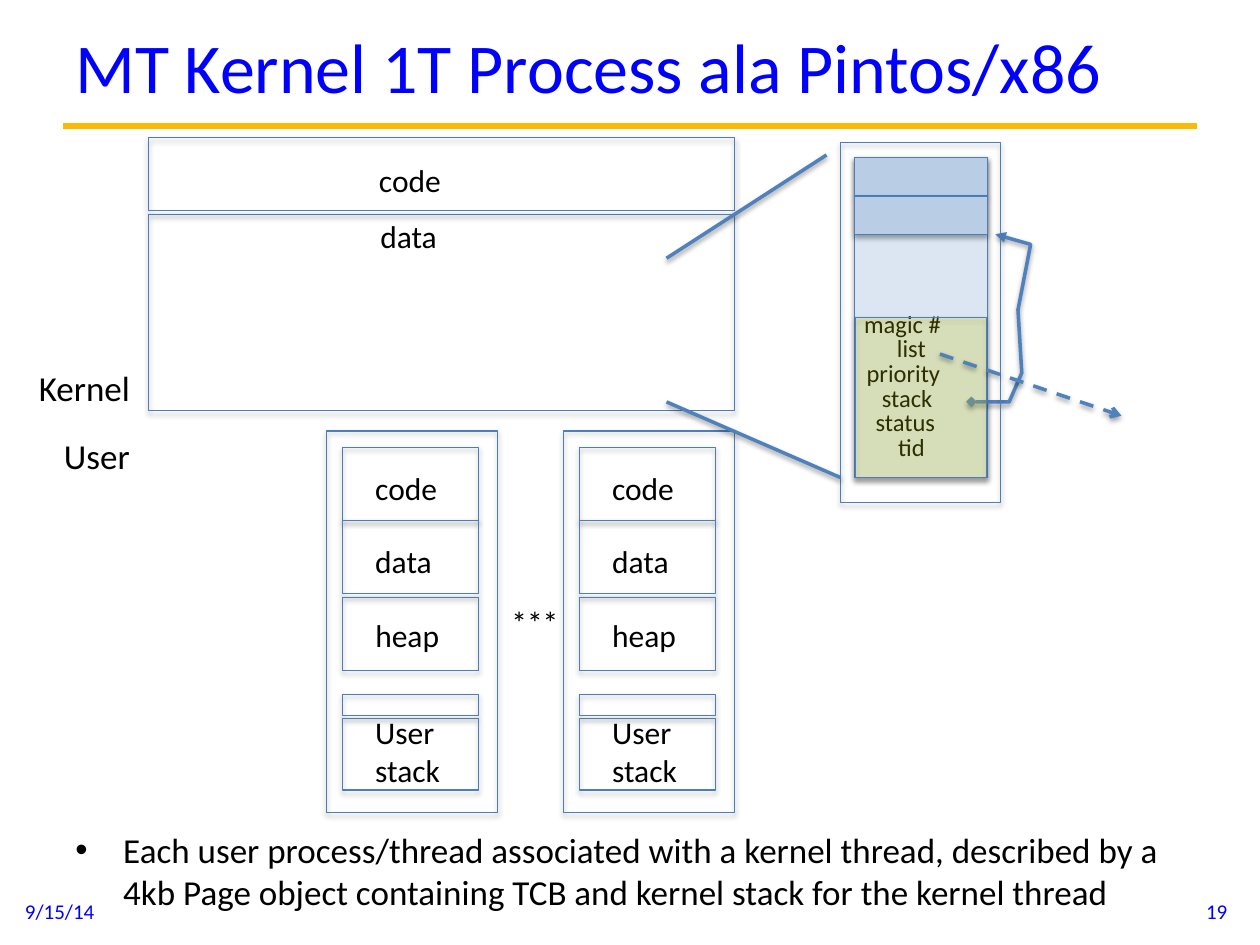
from dataclasses import dataclass
from typing import Any, Optional

from lxml.etree import SubElement
from pptx import Presentation
from pptx.dml.color import RGBColor
from pptx.enum.dml import MSO_LINE
from pptx.enum.shapes import MSO_CONNECTOR, MSO_SHAPE
from pptx.enum.text import MSO_ANCHOR, MSO_AUTO_SIZE, PP_ALIGN
from pptx.oxml.ns import qn
from pptx.util import Inches, Pt


@dataclass(frozen=True)
class Theme:
    font: str = "Calibri"
    blue: str = "0000FF"
    black: str = "000000"
    gold: str = "FBBA03"
    edge: str = "4B7EBC"
    link: str = "4F81BD"
    page: str = "DCE6F2"
    stack: str = "B9CDE5"
    block: str = "FFFF00"
    title: int = 40
    body: int = 20
    label: int = 18
    field: int = 14
    foot: int = 12


@dataclass(frozen=True)
class Box:
    left: float
    top: float
    width: float
    height: float
    fill: Optional[str] = None
    alpha: Optional[int] = None


@dataclass(frozen=True)
class Label:
    text: str
    left: float
    top: float
    width: float
    height: float = 0.4
    size: int = 18
    color: str = "000000"


@dataclass(frozen=True)
class Link:
    start: tuple[float, float]
    end: tuple[float, float]
    color: str
    weight: float = 2
    dash: bool = False


THEME = Theme()
FIELDS = [("magic #", 6.76, 1.1), ("list", 7.02, 0.58), ("priority", 6.78, 1.06),
          ("stack", 6.9, 0.82), ("status", 6.85, 0.92), ("tid", 7.03, 0.56)]
TRACK = [(7.71, 3.19), (8.01, 3.19), (8.11, 2.96), (8.08, 2.46), (8.18, 1.94), (7.9, 1.86)]


def add_glow(shape: Any, alpha: int = 0, dist: float = 0) -> None:
    """Set the drop shadow of a shape, or clear it when alpha is zero."""
    effects = SubElement(shape.element.spPr, qn("a:effectLst"))
    if alpha:
        outer = SubElement(effects, qn("a:outerShdw"), blurRad=str(Pt(3.1)),
                           dist=str(Pt(dist)), dir="5400000", rotWithShape="0")
        color = SubElement(outer, qn("a:srgbClr"), val=THEME.black)
        SubElement(color, qn("a:alpha"), val=str(alpha * 1000))


def add_ends(shape: Any, **ends: str) -> None:
    """Put arrowheads on the named ends of a line."""
    line = shape.element.spPr.find(qn("a:ln"))
    for name, kind in ends.items():
        SubElement(line, qn(f"a:{name}"), type=kind)


def set_line(shape: Any, color: str, weight: float) -> None:
    """Set the colour and weight of an outline."""
    shape.line.color.rgb = RGBColor.from_string(color)
    shape.line.width = Pt(weight)


def draw_box(slide: Any, box: Box) -> None:
    """Draw one outlined box with its shadow."""
    shape = slide.shapes.add_shape(MSO_SHAPE.RECTANGLE, Inches(box.left), Inches(box.top),
                                   Inches(box.width), Inches(box.height))
    if box.fill:
        shape.fill.solid()
        shape.fill.fore_color.rgb = RGBColor.from_string(box.fill)
        if box.alpha:
            color = shape.element.spPr.find(qn("a:solidFill"))[0]
            SubElement(color, qn("a:alpha"), val=str(box.alpha * 1000))
    else:
        shape.fill.background()
    set_line(shape, THEME.edge, 0.75)
    add_glow(shape, 35, 1.8)


def draw_text(slide: Any, label: Label, wrap: bool = False) -> Any:
    """Draw a label, one paragraph a line, and return its text frame."""
    frame = slide.shapes.add_textbox(Inches(label.left), Inches(label.top),
                                     Inches(label.width), Inches(label.height)).text_frame
    frame.word_wrap = wrap
    frame.auto_size = MSO_AUTO_SIZE.NONE if wrap else MSO_AUTO_SIZE.SHAPE_TO_FIT_TEXT
    for i, line in enumerate(label.text.split("\n")):
        para = frame.add_paragraph() if i else frame.paragraphs[0]
        run = para.add_run()
        run.text = line
        run.font.name = THEME.font
        run.font.size = Pt(label.size)
        run.font.color.rgb = RGBColor.from_string(label.color)
    return frame


def draw_link(slide: Any, link: Link) -> Any:
    """Draw a straight line between two points."""
    ends = [Inches(n) for n in (*link.start, *link.end)]
    line = slide.shapes.add_connector(MSO_CONNECTOR.STRAIGHT, *ends)
    set_line(line, link.color, link.weight)
    if link.dash:
        line.line.dash_style = MSO_LINE.DASH
    return line


def draw_frame(slide: Any) -> None:
    """Draw the title, its rule, the bullet and the footer."""
    add_glow(draw_link(slide, Link((0.5, 1), (9.5, 1), THEME.gold, 3.75)))
    title = Label("MT Kernel 1T Process ala Pintos/x86", 0.5, 0.04, 9, 0.96, THEME.title, THEME.blue)
    date = Label("9/15/14", 0.1, 7.03, 2.33, 0.4, THEME.foot, THEME.blue)
    page = Label("19", 7.51, 7.03, 2.33, 0.4, THEME.foot, THEME.blue)
    for label in (title, date, page):
        frame = draw_text(slide, label, True)
        frame.vertical_anchor = MSO_ANCHOR.MIDDLE
        if label is page:
            frame.paragraphs[0].alignment = PP_ALIGN.RIGHT
    note = Label("Each user process/thread associated with a kernel thread, described by a "
                 "4kb Page object containing TCB and kernel stack for the kernel thread",
                 0.5, 6.53, 9, 0.64, THEME.body)
    props = draw_text(slide, note, True).paragraphs[0]._p.get_or_add_pPr()
    props.set("marL", str(Inches(0.38)))
    props.set("indent", str(Inches(-0.38)))
    SubElement(props, qn("a:buFont"), typeface="Arial")
    SubElement(props, qn("a:buChar"), char="•")


def draw_task(slide: Any, left: float) -> None:
    """Draw one user process and its memory parts."""
    draw_box(slide, Box(left, 3.42, 1.36, 3.03))
    for top, height in ((3.55, 0.58), (4.13, 0.58), (4.74, 0.58), (5.51, 0.17), (5.7, 0.57)):
        draw_box(slide, Box(left + 0.13, top, 1.08, height))
    for text, top, width, height in (("code", 3.67, 0.7, 0.4), ("data", 4.25, 0.66, 0.4),
                                     ("heap", 4.84, 0.71, 0.4), ("User\nstack", 5.61, 0.73, 0.71)):
        draw_text(slide, Label(text, left + 0.29, top, width, height, THEME.label))


def draw_kernel(slide: Any) -> None:
    """Draw the kernel code and data with the side labels."""
    for top, height in ((1.09, 0.58), (1.7, 1.56)):
        draw_box(slide, Box(1.18, top, 4.65, height))
    for label in (Label("code", 2.91, 1.23, 0.7), Label("data", 2.92, 1.67, 0.66),
                  Label("***", 3.96, 4.74, 0.58),
                  Label("Kernel", 0.21, 2.86, 0.94, 0.44, THEME.body),
                  Label("User", 0.41, 3.4, 0.73, 0.44, THEME.body)):
        draw_text(slide, label)


def draw_page(slide: Any) -> None:
    """Draw the page object with its stack, fields and pointers."""
    for top, height, fill in ((1.25, 2.54, THEME.page), (1.25, 0.3, THEME.stack),
                              (1.56, 0.3, THEME.stack)):
        draw_box(slide, Box(6.78, top, 1.06, height, fill))
    points = [(Inches(x), Inches(y)) for x, y in TRACK]
    pen = slide.shapes.build_freeform(*points[0])
    pen.add_line_segments(points[1:], close=False)
    track = pen.convert_to_shape()
    track.fill.background()
    set_line(track, THEME.link, 2)
    add_ends(track, headEnd="diamond", tailEnd="triangle")
    add_glow(track, 38, 1.6)
    for i, (text, left, width) in enumerate(FIELDS):
        draw_text(slide, Label(text, left, 2.4 + 0.196 * i, width, 0.41, THEME.field))
    draw_box(slide, Box(6.79, 2.52, 1.04, 1.27, THEME.block, 18))
    draw_box(slide, Box(6.67, 1.13, 1.27, 2.86))
    for link in (Link((7.46, 2.81), (8.9, 3.3), THEME.link, dash=True),
                 Link((5.29, 2.05), (6.56, 1.23), THEME.link),
                 Link((5.29, 3.19), (6.67, 3.79), THEME.link)):
        line = draw_link(slide, link)
        if link.dash:
            add_ends(line, tailEnd="arrow")
        add_glow(line, 38, 1.6)


def main() -> None:
    """Build the slide and save it."""
    deck = Presentation()
    deck.slide_width, deck.slide_height = Inches(10), Inches(7.5)
    slide = deck.slides.add_slide(deck.slide_layouts[6])
    draw_frame(slide)
    for left in (4.47, 2.59):
        draw_task(slide, left)
    draw_kernel(slide)
    draw_page(slide)
    deck.save("out.pptx")


if __name__ == "__main__":
    main()
